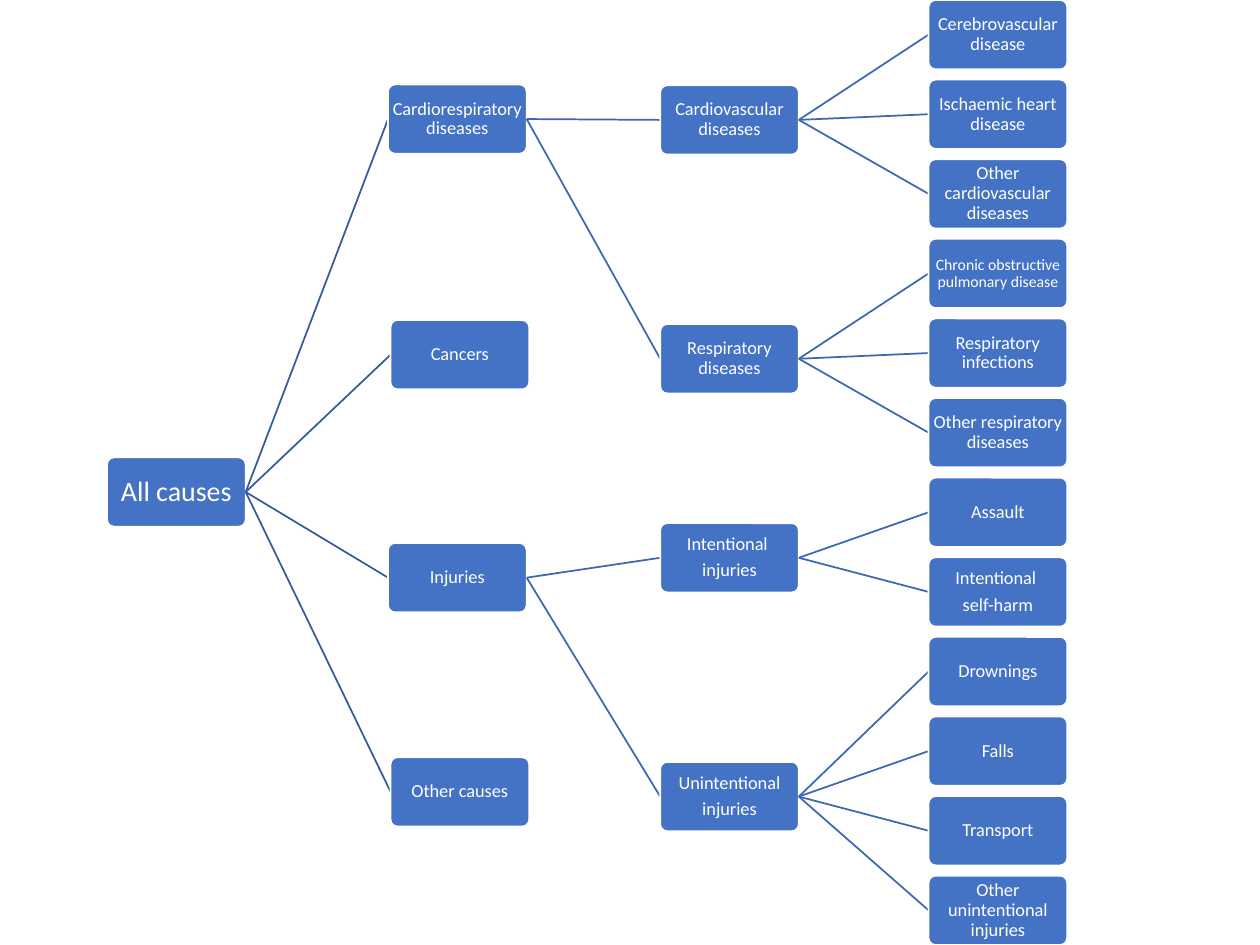
from lxml.etree import SubElement
from pptx import Presentation
from pptx.dml.color import RGBColor as Rgb
from pptx.enum.shapes import MSO_CONNECTOR as Conn, MSO_SHAPE as Shape
from pptx.enum.text import MSO_ANCHOR as Anchor, PP_ALIGN as Align
from pptx.oxml.ns import qn
from pptx.util import Inches, Pt

COLORS = {"box": "4472C4", "edge": "FFFFFF", "text": "FFFFFF",
          "trunk": "365B9D", "twig": "3E67B2"}
FONT = "Calibri"
WIDE, HIGH = 1.1, 0.55
GROUP_X, LEAF_X = 5.24, 7.37
STEP = 6.95 / 11
DROP = 0.045
ROOT = ("All causes", 0.85, 3.63)
SMALL = {"Chronic obstructive pulmonary disease": 9}

TREE = [
    ("Cardiorespiratory diseases", 3.08, 0.67, [
        ("Cardiovascular diseases", [
            "Cerebrovascular disease",
            "Ischaemic heart disease",
            "Other cardiovascular diseases"]),
        ("Respiratory diseases", [
            "Chronic obstructive pulmonary disease",
            "Respiratory infections",
            "Other respiratory diseases"])]),
    ("Cancers", 3.1, 2.54, []),
    ("Injuries", 3.08, 4.31, [
        ("Intentional \ninjuries", ["Assault", "Intentional \nself-harm"]),
        ("Unintentional\ninjuries", [
            "Drownings", "Falls", "Transport",
            "Other unintentional injuries"])]),
    ("Other causes", 3.1, 6.01, []),
]


class Chart:
    def __init__(self, slide):
        self.slide = slide

    def color(self, name):
        return Rgb.from_string(COLORS[name])

    def box(self, text, left, top, size=10.5):
        box = self.slide.shapes.add_shape(
            Shape.ROUNDED_RECTANGLE, Inches(left), Inches(top),
            Inches(WIDE), Inches(HIGH))
        box.adjustments[0] = 0.1
        box.shadow.inherit = False
        box.fill.solid()
        box.fill.fore_color.rgb = self.color("box")
        box.line.color.rgb = self.color("edge")
        box.line.width = Pt(1)
        frame = box.text_frame
        frame.text = text
        frame.word_wrap = True
        frame.vertical_anchor = Anchor.MIDDLE
        frame.margin_left = frame.margin_right = Inches(0.02)
        frame.margin_top = frame.margin_bottom = Inches(0.02)
        for para in frame.paragraphs:
            para.alignment = Align.CENTER
            para.line_spacing = 0.9
            para.space_after = Pt(size * 0.35)
            for run in para.runs:
                run.font.name = FONT
                run.font.size = Pt(size)
                run.font.color.rgb = self.color("text")

    def link(self, start, end, name):
        (left, top), (right, low) = start, end
        line = self.slide.shapes.add_connector(
            Conn.STRAIGHT, Inches(left + WIDE), Inches(top + HIGH / 2),
            Inches(right), Inches(low + HIGH / 2))
        line.line.color.rgb = self.color(name)
        line.line.width = Pt(1)
        SubElement(line._element.spPr, qn("a:effectLst"))

    def child(self, text, spot, parent, name="twig"):
        self.link(parent, spot, name)
        self.box(text, *spot, size=SMALL.get(text, 10.5))


def main():
    deck = Presentation()
    deck.slide_width, deck.slide_height = Inches(10), Inches(7.5)
    chart = Chart(deck.slides.add_slide(deck.slide_layouts[6]))
    title, *root = ROOT
    chart.box(title, *root, size=16)
    row = 0
    for cause, left, top, groups in TREE:
        chart.child(cause, (left, top), root, "trunk")
        for group, leaves in groups:
            mid = row + (len(leaves) - 1) / 2
            spot = (GROUP_X, mid * STEP + DROP)
            chart.child(group, spot, (left, top))
            for leaf in leaves:
                chart.child(leaf, (LEAF_X, row * STEP), spot)
                row += 1
    deck.save("out.pptx")


if __name__ == "__main__":
    main()
